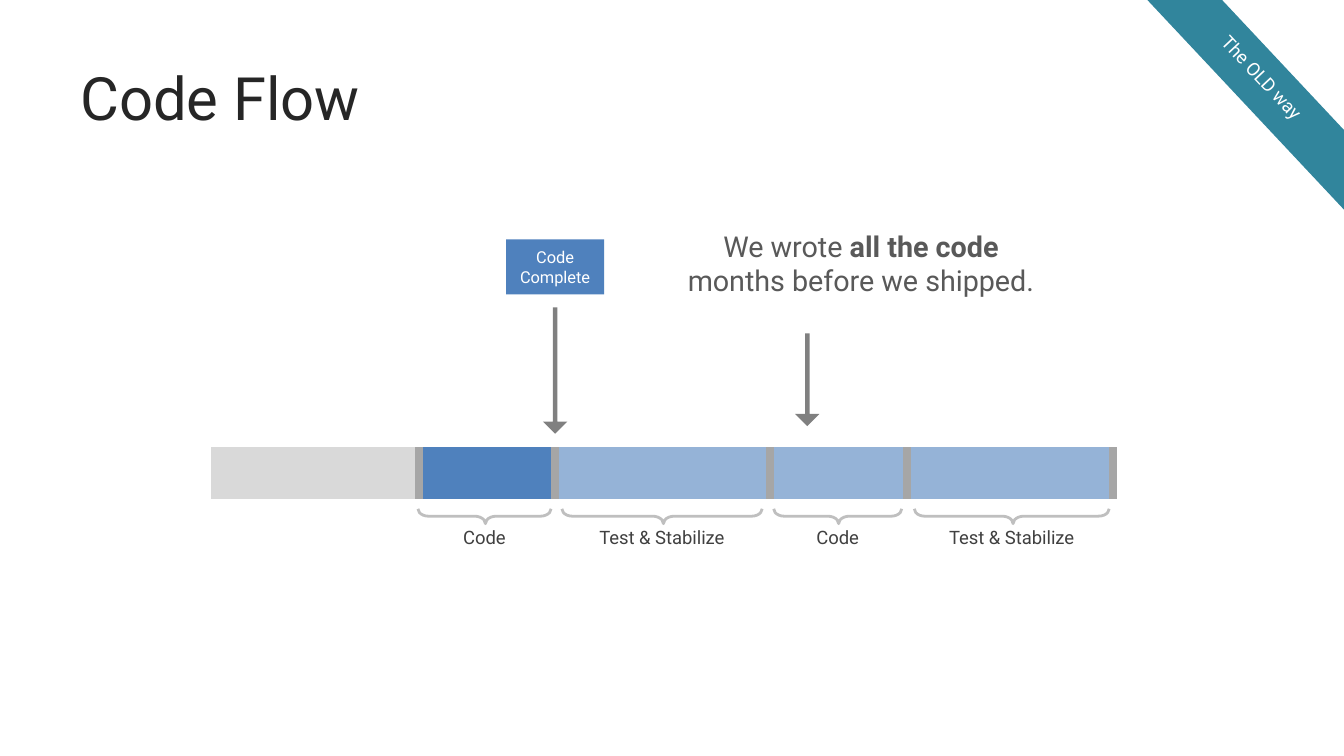
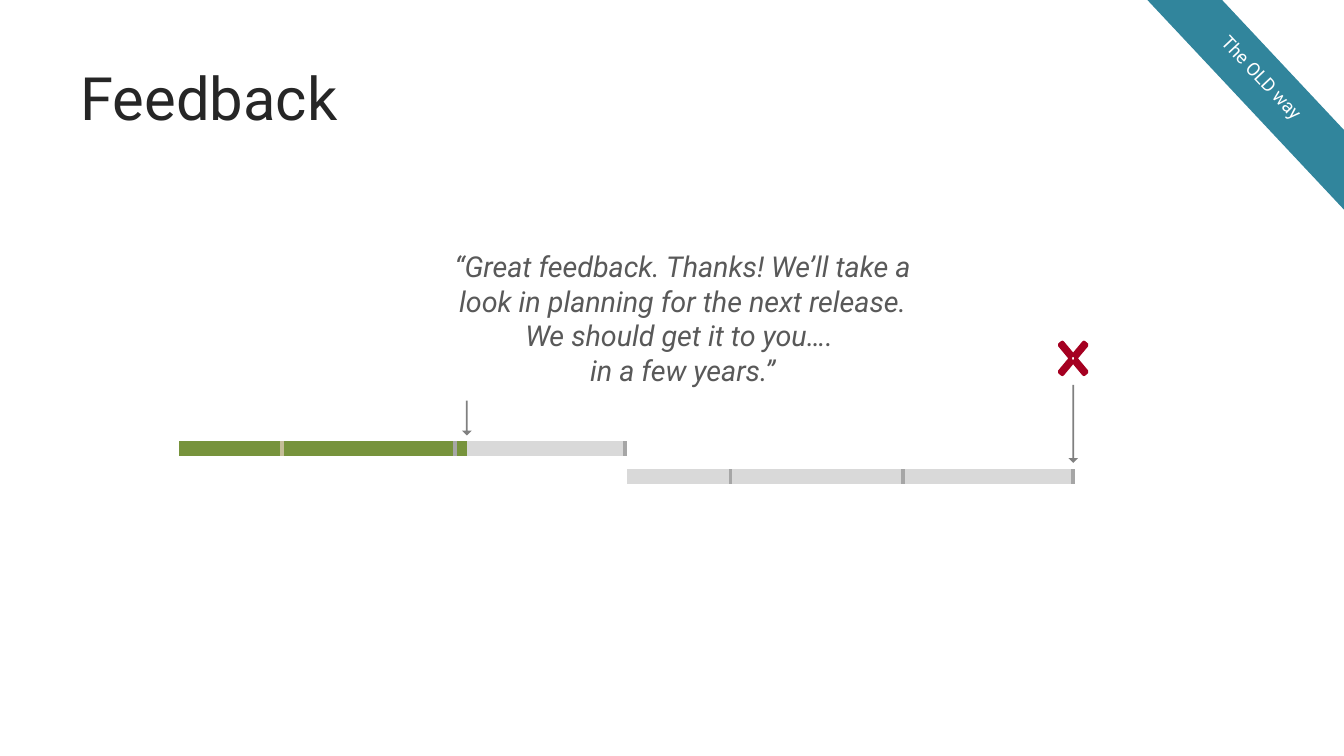
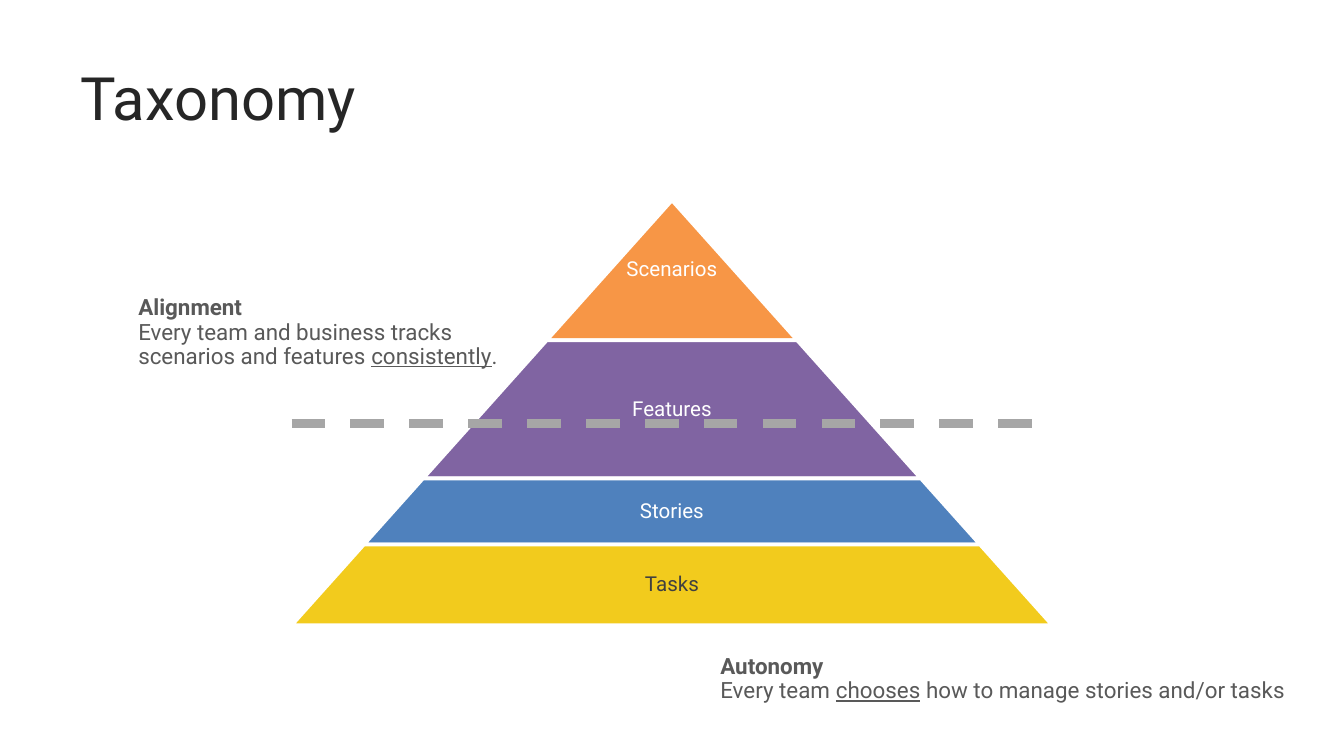
"""Build three slides on release code flow, feedback and work taxonomy."""
import dataclasses

import lxml.etree
import pptx
import pptx.dml.color
import pptx.enum.dml
import pptx.enum.shapes
import pptx.enum.text
import pptx.oxml.ns
import pptx.util

Pt = pptx.util.Pt
SHAPE = pptx.enum.shapes.MSO_SHAPE
ALIGN = pptx.enum.text.PP_ALIGN


@dataclasses.dataclass(frozen=True)
class Theme:
    """Colours, font and type sizes shared by the slides."""

    font: str = "Roboto"
    title_size: float = 32
    message_size: float = 15.4
    note_size: float = 12
    tier_size: float = 11
    label_size: float = 9.9
    badge_size: float = 8.8
    title: str = "262626"
    body: str = "595959"
    label: str = "404040"
    white: str = "FFFFFF"
    ribbon: str = "31859C"
    idle: str = "D9D9D9"
    mark: str = "A6A6A6"
    early_mark: str = "C4BD97"
    brace: str = "BFBFBF"
    arrow: str = "808080"
    blue: str = "4F81BD"
    pale_blue: str = "95B3D7"
    green: str = "77933C"
    red: str = "A50021"
    orange: str = "F79646"
    purple: str = "8064A2"
    yellow: str = "F2CB1D"


THEME = Theme()


@dataclasses.dataclass(frozen=True)
class Box:
    """A rectangle in points."""

    left: float
    top: float
    width: float
    height: float

    def inner(self, left, top, width, height):
        """Return a box placed relative to this one's corner."""
        return Box(self.left + left, self.top + top, width, height)

    def lengths(self):
        """Return position and size as slide lengths."""
        return [Pt(value) for value in dataclasses.astuple(self)]


def rgb(colour):
    """Turn a hex string into a colour."""
    return pptx.dml.color.RGBColor.from_string(colour)


def draw(slide, kind, box, fill=None, line=None, line_width=1, adjust=(), turn=0):
    """Add a preset shape with plain fill and line."""
    figure = slide.shapes.add_shape(kind, *box.lengths())
    figure.shadow.inherit = False
    figure.rotation = turn
    for index, value in enumerate(adjust):
        figure.adjustments[index] = value
    if fill:
        figure.fill.solid()
        figure.fill.fore_color.rgb = rgb(fill)
    else:
        figure.fill.background()
    if line:
        figure.line.color.rgb = rgb(line)
        figure.line.width = Pt(line_width)
    else:
        figure.line.fill.background()
    return figure


def write(holder, paragraphs, size, colour, align=ALIGN.CENTER, insets=(0, 2.2),
          spacing=None, anchor=pptx.enum.text.MSO_ANCHOR.MIDDLE):
    """Fill a shape with paragraphs of (text, style) runs."""
    frame = holder.text_frame
    frame.word_wrap = True
    frame.vertical_anchor = anchor
    frame.margin_left = frame.margin_right = Pt(insets[0])
    frame.margin_top = frame.margin_bottom = Pt(insets[1])
    for index, runs in enumerate(paragraphs):
        paragraph = frame.add_paragraph() if index else frame.paragraphs[0]
        paragraph.alignment = align
        paragraph.line_spacing = spacing
        for text, style in runs:
            run = paragraph.add_run()
            run.text = text
            run.font.name = THEME.font
            run.font.size = Pt(size)
            run.font.color.rgb = rgb(colour)
            if style:
                setattr(run.font, style, True)


def add_text(slide, box, paragraphs, size, colour, **options):
    """Add a text box and return it."""
    holder = slide.shapes.add_textbox(*box.lengths())
    write(holder, paragraphs, size, colour, **options)
    return holder


def add_title(slide, box, title):
    """Write the slide title."""
    add_text(slide, box, [[(title, None)]], THEME.title_size, THEME.title,
             align=ALIGN.LEFT, insets=(7.2, 3.6))


def add_ribbon(slide, box):
    """Draw the corner ribbon and its slanted caption."""
    draw(slide, SHAPE.DIAGONAL_STRIPE, box, THEME.ribbon, adjust=[0.632], turn=90)
    caption = add_text(slide, box.inner(-5, 26.6, 146.9, 29.5),
                       [[("The OLD way", None)]], THEME.label_size, THEME.white)
    caption.rotation = 46.8


def add_arrow(slide, box):
    """Draw a thin arrow pointing down."""
    draw(slide, SHAPE.DOWN_ARROW, box, THEME.arrow, adjust=[0.187, 0.5])


def add_phase(slide, box, name):
    """Draw a brace across the top of the box and its label below."""
    depth = 7.9
    upright = box.inner((box.width - depth) / 2, (depth - box.width) / 2,
                        depth, box.width)
    draw(slide, SHAPE.LEFT_BRACE, upright, line=THEME.brace, line_width=1.5,
         adjust=[0.722, 0.507], turn=270)
    add_text(slide, box.inner(-4, box.height - 12.2, box.width + 8, 12.2),
             [[(name, None)]], THEME.label_size, THEME.label, insets=(0, 0),
             anchor=pptx.enum.text.MSO_ANCHOR.TOP)


def add_code_timeline(slide, box):
    """Draw the release bar, its milestones and its named phases."""
    spans = [(0, box.width, THEME.idle), (301, 182.9, THEME.pale_blue),
             (113.8, 187.2, THEME.pale_blue), (113, 69.1, THEME.blue)]
    milestones = [(left, 4.3, THEME.mark) for left in (109.4, 182.2, 297.2, 371, 481)]
    for left, width, colour in spans + milestones:
        draw(slide, SHAPE.FLOWCHART_PROCESS, box.inner(left, 0, width, box.height),
             colour)
    phases = [("Code", 110.9, 71.3), ("Test & Stabilize", 188, 107.3),
              ("Code", 301.5, 68.6), ("Test & Stabilize", 376.8, 104.4)]
    for name, left, width in phases:
        add_phase(slide, box.inner(left, box.height + 5, width, 21.2), name)


def add_code_callouts(slide, box):
    """Place the milestone badge, the message and their arrows."""
    badge = draw(slide, SHAPE.RECTANGLE, box.inner(0, 7.2, 52.5, 29.5), THEME.blue)
    write(badge, [[("Code", None)], [("Complete", None)]],
          THEME.badge_size, THEME.white)
    add_arrow(slide, box.inner(19.7, 43.7, 13, 67.7))
    message = [("We wrote ", None), ("all the code ", "bold"),
               ("months before we shipped.", None)]
    add_text(slide, box.inner(94.3, 0, 191.5, 39.6), [message],
             THEME.message_size, THEME.body)
    add_arrow(slide, box.inner(154.8, 57.6, 13, 49.7))


def add_release_track(slide, box, mark_colours, progress=0):
    """Draw a release bar with three milestones, green up to the progress."""
    mark_width = 2.1
    marks = [54.4, 146.9, 238]
    draw(slide, SHAPE.RECTANGLE, box, THEME.idle)
    start = 0
    for mark, colour in zip(marks, mark_colours):
        done = min(mark, progress) - start
        if done > 0:
            draw(slide, SHAPE.FLOWCHART_PROCESS,
                 box.inner(start, 0, done, box.height), THEME.green)
        draw(slide, SHAPE.FLOWCHART_PROCESS,
             box.inner(mark, 0, mark_width, box.height), colour)
        start = mark + mark_width


def add_feedback_story(slide, box):
    """Show the quote over two releases and when its request arrives."""
    track = box.inner(0, 85.8, 239, 8)
    add_release_track(slide, track, [THEME.early_mark, THEME.mark, THEME.mark], 154.4)
    add_release_track(slide, track.inner(240, 15, 239, 8), [THEME.mark] * 3)
    quote = [[("“Great feedback. Thanks! We’ll take a look in planning for the next "
               "release. We should get it to you…. ", "italic")],
             [("in a few years.”", "italic")]]
    add_text(slide, box.inner(141.7, 0, 256.3, 39.6), quote,
             THEME.message_size, THEME.body)
    add_arrow(slide, box.inner(151.6, 64.1, 5.2, 18.7))
    add_arrow(slide, box.inner(476.5, 55.7, 5.2, 41.8))
    draw(slide, SHAPE.MATH_MULTIPLY, box.inner(466.4, 26.4, 25.2, 30.2),
         line=THEME.red, line_width=2, adjust=[0.08])


def add_pyramid(slide, box):
    """Stack the tiers so that their sides form one triangle."""
    tiers = [("Scenarios", 75, THEME.orange, THEME.white),
             ("Features", 74, THEME.purple, THEME.white),
             ("Stories", 35.5, THEME.blue, THEME.white),
             ("Tasks", 43.2, THEME.yellow, THEME.label)]
    slope = box.width / 2 / box.height
    top = 0
    for name, height, colour, ink in tiers:
        width = 2 * slope * (top + height)
        tier = box.inner((box.width - width) / 2, top, width, height)
        draw(slide, SHAPE.TRAPEZOID, tier, colour, THEME.white, 2, [slope])
        add_text(slide, tier, [[(name, None)]], THEME.tier_size, ink,
                 insets=(1.4, 1.4), spacing=0.9)
        top += height


def add_note(slide, box, heading, runs):
    """Write a bold heading with its explanation."""
    add_text(slide, box, [[(heading, "bold")], runs], THEME.note_size, THEME.body,
             align=ALIGN.LEFT, insets=(7.9, 6.5), spacing=0.9)


def add_divider(slide, box):
    """Draw the dashed line between alignment and autonomy."""
    divider = slide.shapes.add_connector(
        pptx.enum.shapes.MSO_CONNECTOR.STRAIGHT, Pt(box.left), Pt(box.top),
        Pt(box.left + box.width), Pt(box.top + box.height))
    divider.line.color.rgb = rgb(THEME.mark)
    divider.line.width = Pt(4.5)
    divider.line.dash_style = pptx.enum.dml.MSO_LINE.DASH
    lxml.etree.SubElement(divider._element.spPr, pptx.oxml.ns.qn("a:effectLst"))


def start_slide(deck, title, old_way=False):
    """Add a blank slide with its title and, for the old way, the ribbon."""
    slide = deck.slides.add_slide(deck.slide_layouts[6])
    add_title(slide, Box(36, 18, 648, 67.7), title)
    if old_way:
        add_ribbon(slide, Box(607.7, 0, 115.9, 108.7))
    return slide


def build_code_flow(deck):
    """Build the code flow slide."""
    slide = start_slide(deck, "Code Flow", old_way=True)
    add_code_timeline(slide, Box(113, 239.6, 485.3, 28))
    add_code_callouts(slide, Box(271.2, 121, 285.8, 111.4))


def build_feedback(deck):
    """Build the feedback slide."""
    slide = start_slide(deck, "Feedback", old_way=True)
    add_feedback_story(slide, Box(95.9, 150.5, 491.6, 109))


def build_taxonomy(deck):
    """Build the taxonomy slide."""
    slide = start_slide(deck, "Taxonomy")
    add_pyramid(slide, Box(156.2, 107.3, 407.6, 227.7))
    add_note(slide, Box(66.2, 151.3, 218.9, 54), "Alignment",
             [("Every team and business tracks scenarios and features ", None),
              ("consistently", "underline"), (".", None)])
    add_note(slide, Box(378, 343, 324, 42), "Autonomy",
             [("Every team ", None), ("chooses", "underline"),
              (" how to manage stories and/or tasks", None)])
    add_divider(slide, Box(156.2, 226.8, 403.2, 0))


def main():
    """Build and save the deck."""
    deck = pptx.Presentation()
    deck.slide_width, deck.slide_height = Pt(720), Pt(405)
    build_code_flow(deck)
    build_feedback(deck)
    build_taxonomy(deck)
    deck.save("out.pptx")


if __name__ == "__main__":
    main()
